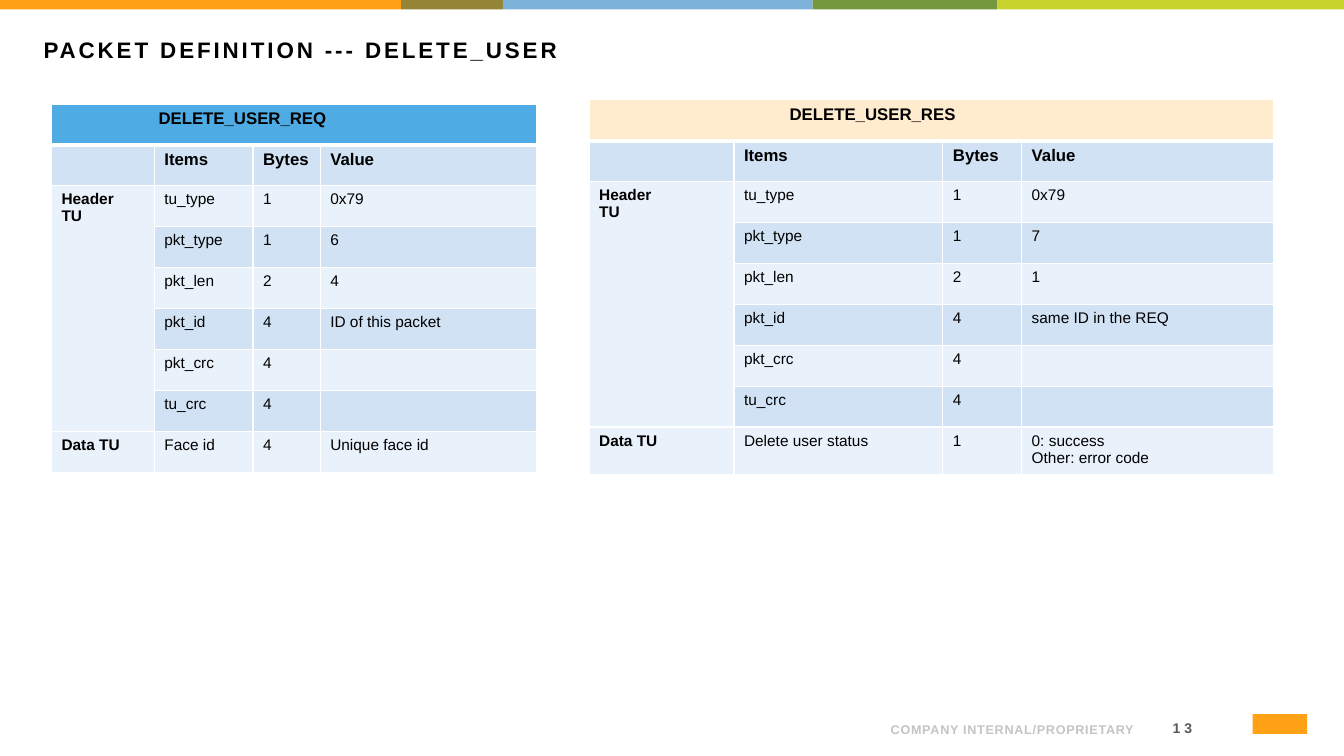
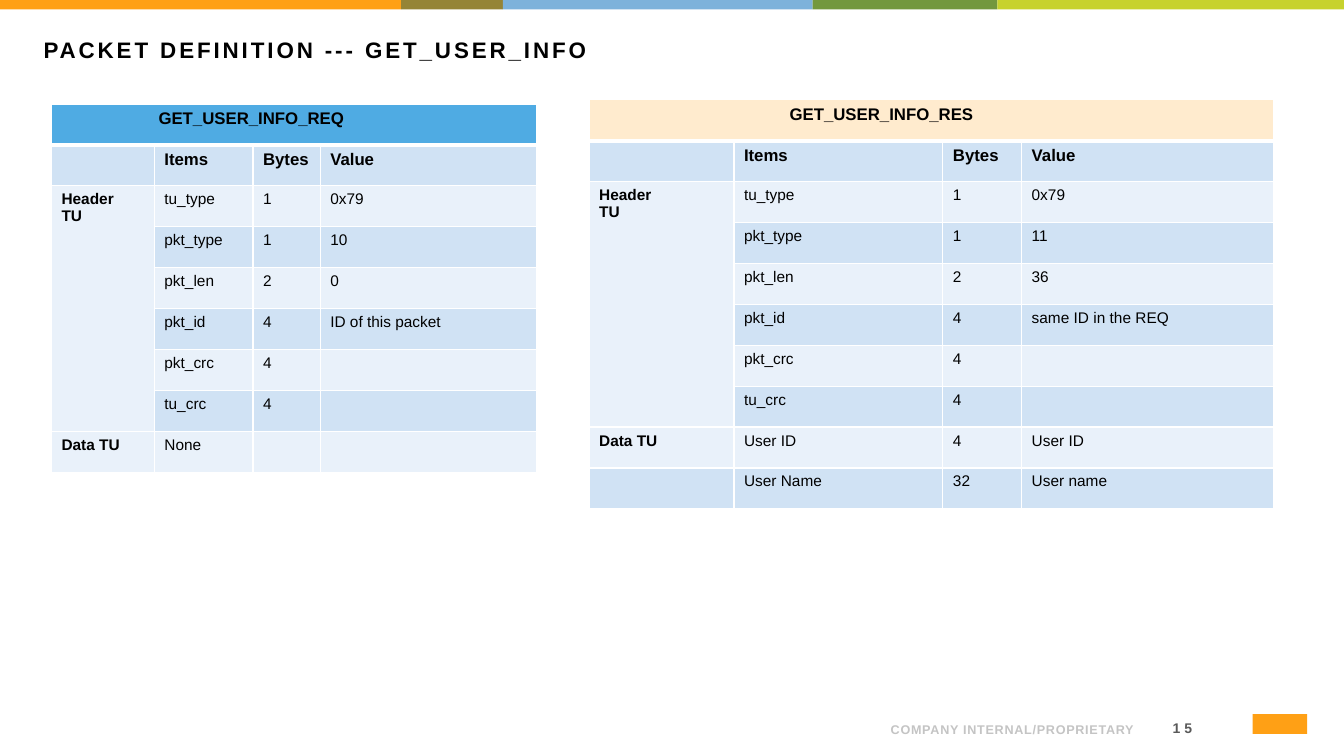
from lxml import etree
from pptx import Presentation
from pptx import util as u
from pptx.dml.color import RGBColor
from pptx.enum import shapes, text
from pptx.oxml.ns import qn

PX = 9525  # EMU per pixel, 96 pixels to the inch
FONT = "Arial"
COLORS = {
    "black": "000000", "white": "FFFFFF", "footer": "C4C4C4", "number": "595959",
    "request": "4FABE3", "response": "FFEBCE", "dark row": "D0E2F4", "light row": "E9F1FA",
    "orange": "FFA015", "olive": "958436", "blue": "7DB2DB", "green": "73983E", "lime": "C7D22D",
}
TOP_BAND = [("orange", 382), ("olive", 97), ("blue", 295), ("green", 176), ("lime", 330)]
BAND_HEIGHT = 9
ROW_HEIGHT = 39
FOOTER = "COMPANY INTERNAL/PROPRIETARY"

HEADINGS = ("", "Items", "Bytes", "Value")
HEADER_FIELDS = [("tu_type", "1"), ("pkt_type", "1"), ("pkt_len", "2"),
                 ("pkt_id", "4"), ("pkt_crc", "4"), ("tu_crc", "4")]
LAYOUTS = {
    "request": {"left": 49, "top": 99, "columns": (98, 94, 64, 206),
                "title indent": 102, "suffix": "_REQ", "packet id": "ID of this packet"},
    "response": {"left": 561, "top": 95, "columns": (138, 199, 75, 240),
                 "title indent": 191, "suffix": "_RES", "packet id": "same ID in the REQ"},
}
# Each packet: type, length, then the rows of its data unit
SLIDES = [
    {"number": "13", "command": "DELETE_USER",
     "request": ("6", "4", [("Face id", "4", "Unique face id")]),
     "response": ("7", "1", [("Delete user status", "1", "0: success\nOther: error code")])},
    {"number": "15", "command": "GET_USER_INFO",
     "request": ("10", "0", [("None", "", "")]),
     "response": ("11", "36", [("User ID", "4", "User ID"), ("User Name", "32", "User name")])},
]


def color(name):
    return RGBColor.from_string(COLORS[name])


def set_font(paragraph, size, color_name="black", bold=False):
    font = paragraph.font
    font.name, font.size, font.bold = FONT, u.Pt(size), bold
    font.color.rgb = color(color_name)


def add_rectangle(slide, box, color_name):
    shape = slide.shapes.add_shape(shapes.MSO_SHAPE.RECTANGLE, *(n * PX for n in box))
    shape.shadow.inherit = False
    shape.fill.solid()
    shape.fill.fore_color.rgb = color(color_name)
    shape.line.fill.background()


def add_label(slide, box, words, size, color_name, spacing, anchor, align):
    """Add bold text; spacing is the letter spacing in points."""
    frame = slide.shapes.add_textbox(*(n * PX for n in box)).text_frame
    frame.word_wrap = True
    frame.vertical_anchor = anchor
    paragraph = frame.paragraphs[0]
    paragraph.alignment = align
    set_font(paragraph, size, color_name, bold=True)
    run = paragraph.add_run()
    run.text = words
    run._r.get_or_add_rPr().set("spc", str(round(spacing * 100)))


def set_borders(cell, bottom_width):
    properties = cell._tc.get_or_add_tcPr()
    widths = {"a:lnL": 1, "a:lnR": 1, "a:lnT": 1, "a:lnB": bottom_width}
    for position, (tag, width) in enumerate(widths.items()):
        line = etree.Element(qn(tag), w=str(u.Pt(width)))
        fill = etree.SubElement(line, qn("a:solidFill"))
        etree.SubElement(fill, qn("a:srgbClr"), val=COLORS["white"])
        properties.insert(position, line)


def packet_rows(command, layout, packet):
    packet_type, length, data = packet
    values = ("0x79", packet_type, length, layout["packet id"], "", "")
    header = [("", *field, value) for field, value in zip(HEADER_FIELDS, values)]
    header[0] = ("Header\nTU", *header[0][1:])
    units = [("" if i else "Data TU", *row) for i, row in enumerate(data)]
    return [(command + layout["suffix"], "", "", ""), HEADINGS, *header, *units]


def add_packet_table(slide, kind, command, packet):
    layout = LAYOUTS[kind]
    rows, columns = packet_rows(command, layout, packet), layout["columns"]
    box = (layout["left"], layout["top"], sum(columns), ROW_HEIGHT * len(rows))
    table = slide.shapes.add_table(len(rows), len(columns), *(n * PX for n in box)).table
    table.first_row = table.horz_banding = False
    for column, width in zip(table.columns, columns):
        column.width = width * PX
    for r, row in enumerate(rows):
        table.rows[r].height = ROW_HEIGHT * PX
        fill_name = kind if r == 0 else "dark row" if r % 2 else "light row"
        for c, words in enumerate(row):
            cell = table.cell(r, c)
            cell.text = words
            cell.fill.solid()
            cell.fill.fore_color.rgb = color(fill_name)
            set_borders(cell, 3 if r == 0 else 1)
            for paragraph in cell.text_frame.paragraphs:
                set_font(paragraph, 12 if r < 2 else 11, bold=r < 2 or c == 0)
    table.cell(0, 0).margin_left = layout["title indent"] * PX
    table.cell(0, 0).merge(table.cell(0, len(columns) - 1))
    table.cell(2, 0).merge(table.cell(1 + len(HEADER_FIELDS), 0))


def add_frame(slide, title, number):
    """Add what every slide shares: top band, footer, page number, logo block and title."""
    left = 0
    for color_name, width in TOP_BAND:
        add_rectangle(slide, (left, 0, width, BAND_HEIGHT), color_name)
        left += width
    add_rectangle(slide, (1193, 680, 52, 19), "orange")
    anchor, align = text.MSO_ANCHOR, text.PP_ALIGN
    add_label(slide, (1083, 679, 62, 29), number, 10, "number", 3, anchor.MIDDLE, align.RIGHT)
    add_label(slide, (817, 674, 272, 33), FOOTER, 9, "footer", 0.5, anchor.BOTTOM, align.RIGHT)
    add_label(slide, (32, 30, 1203, 69), title, 16, "black", 2.1, anchor.TOP, align.LEFT)


def main():
    presentation = Presentation()
    presentation.slide_width, presentation.slide_height = 1280 * PX, 720 * PX
    for content in SLIDES:
        slide = presentation.slides.add_slide(presentation.slide_layouts[6])
        command = content["command"]
        add_frame(slide, f"PACKET DEFINITION --- {command}", content["number"])
        for kind in LAYOUTS:
            add_packet_table(slide, kind, command, content[kind])
    presentation.save("out.pptx")


if __name__ == "__main__":
    main()
